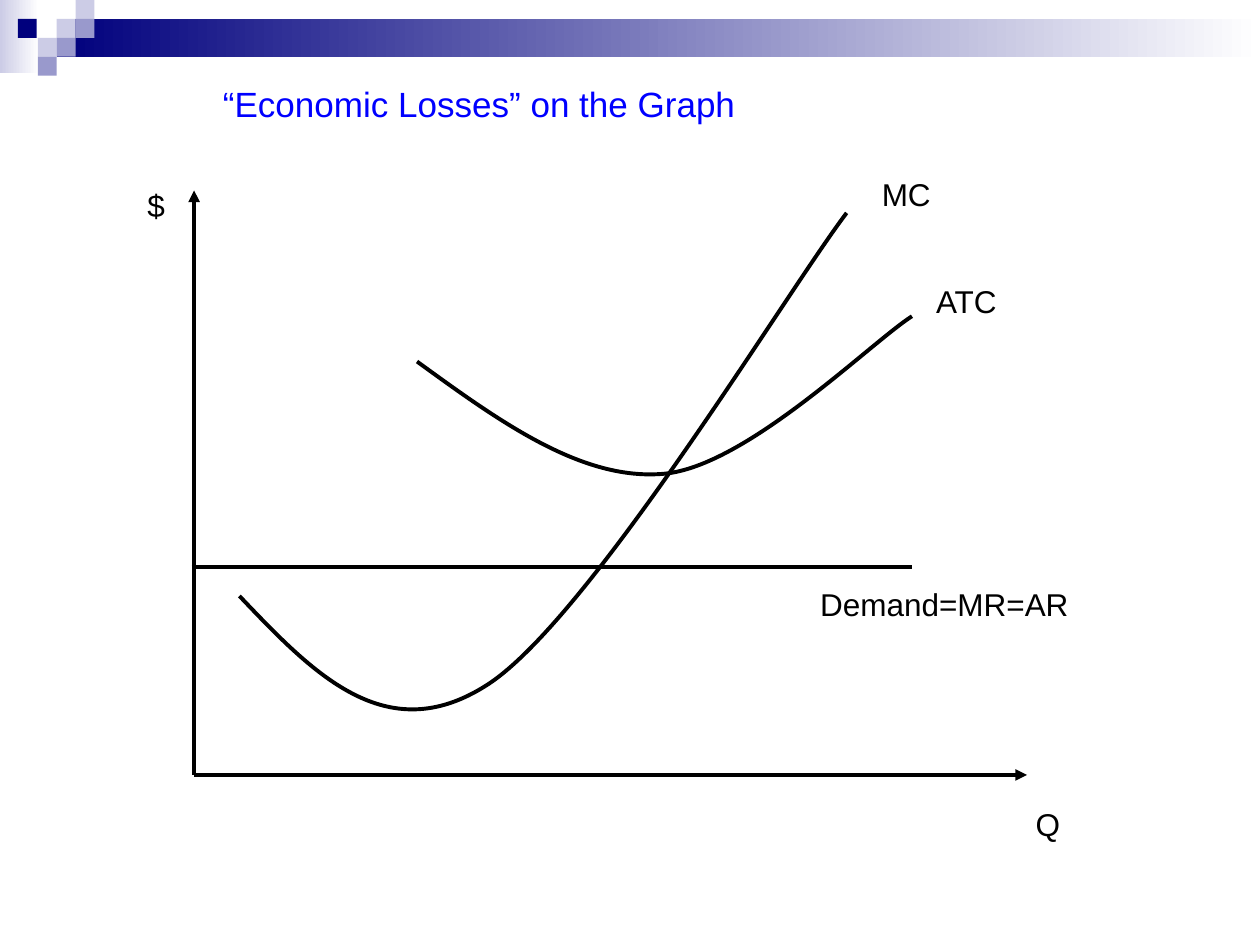
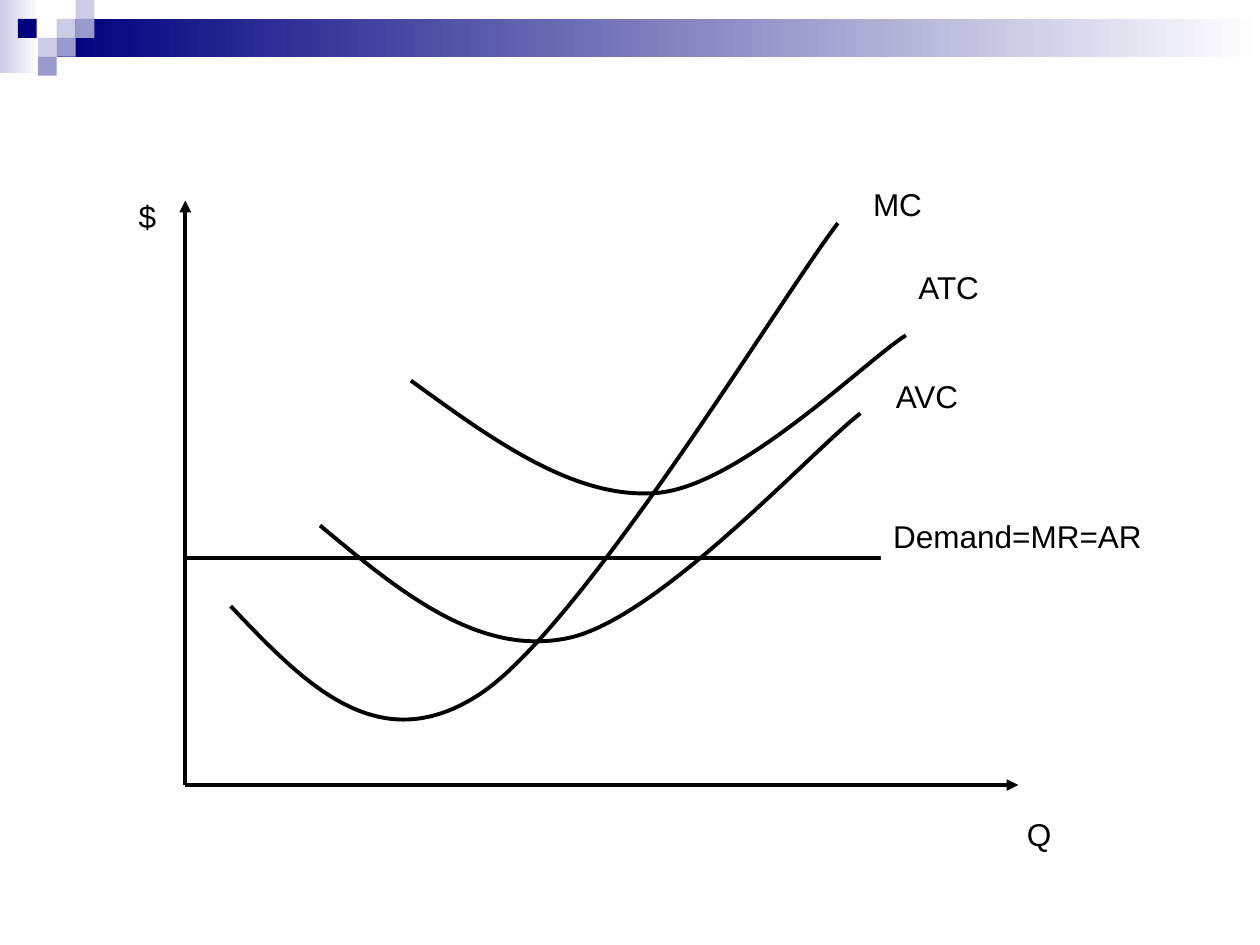
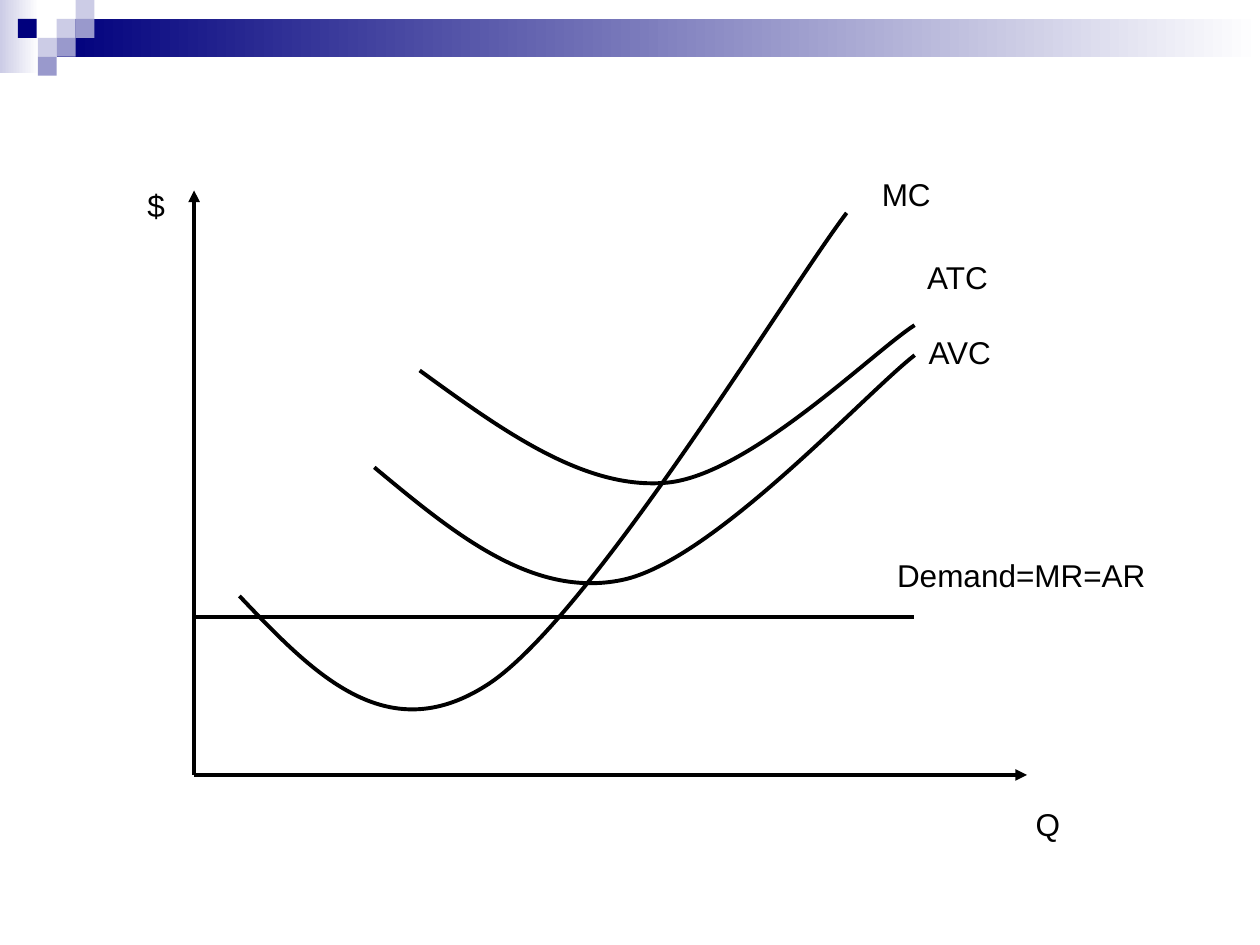
from dataclasses import dataclass
from typing import Any

from lxml.etree import SubElement
from pptx import Presentation
from pptx.dml.color import RGBColor
from pptx.enum.shapes import MSO_CONNECTOR, MSO_SHAPE
from pptx.enum.text import MSO_ANCHOR, MSO_AUTO_SIZE, PP_ALIGN
from pptx.oxml.ns import qn
from pptx.slide import Slide
from pptx.util import Pt

# Shared colours and formats
NAVY = RGBColor(0x00, 0x00, 0x7D)
LAVENDER = RGBColor(0xCC, 0xCC, 0xE6)
PERIWINKLE = RGBColor(0x99, 0x99, 0xCC)
WHITE = RGBColor(0xFF, 0xFF, 0xFF)
BLACK = RGBColor(0x00, 0x00, 0x00)
TITLE_BLUE = RGBColor(0x00, 0x00, 0xFF)

LABEL_FONT = {"name": "Arial", "size": Pt(18), "bold": False}
TITLE_FONT = {**LABEL_FONT, "size": Pt(20)}
FRAME_FORMAT = {
    "vertical_anchor": MSO_ANCHOR.MIDDLE,
    "auto_size": MSO_AUTO_SIZE.NONE,
    "word_wrap": True,
    "margin_left": Pt(7.2),
    "margin_right": Pt(7.2),
    "margin_top": Pt(3.6),
    "margin_bottom": Pt(3.6),
}
STROKE = Pt(2.25)
LABEL_HEIGHT = 30.2
TILE = 10.8
AXIS_HEIGHT, AXIS_WIDTH = 334, 476
DEMAND_LENGTH = 411.6

Point = tuple[float, float]


@dataclass(frozen=True)
class Band:
    left: float
    top: float
    width: float
    height: float
    color: RGBColor


@dataclass(frozen=True)
class Tile:
    left: float
    row: int
    color: RGBColor


@dataclass(frozen=True)
class Label:
    text: str
    at: Point
    width: float


@dataclass(frozen=True)
class Curve:
    """Bezier control points, measured from the start of the curve."""
    start: Point
    controls: tuple[Point, ...]


@dataclass(frozen=True)
class Graph:
    """Everything on a graph is measured from its origin."""
    origin: Point
    demand_start: Point
    curves: tuple[Curve, ...]
    labels: tuple[Label, ...]
    title: str = ""


# Header decoration
BANDS = (
    Band(0, 0, 22.3, 41.8, LAVENDER),
    Band(3 * TILE, TILE, 720 - 3 * TILE, 2 * TILE, NAVY),
)
TILES = (
    Tile(3 * TILE, 1, LAVENDER),
    Tile(4 * TILE, 0, LAVENDER),
    Tile(4 * TILE, 1, PERIWINKLE),
    Tile(2 * TILE, 2, LAVENDER),
    Tile(10.2, 1, NAVY),
    Tile(3 * TILE, 2, PERIWINKLE),
    Tile(2 * TILE, 3, PERIWINKLE),
)

# Cost curves
MC_CONTROLS = ((41.8, 43.9), (83.5, 87.8), (141.1, 51.1),
               (199.4, 14.4), (312.5, -173.5), (347, -218.9))
ATC_CONTROLS = ((47.1, 34.2), (94.2, 68.4), (141.2, 64.1),
                (188.3, 59.8), (259.2, -10.8), (282.8, -25.9))
AVC_CONTROLS = ((45, 37.4), (90, 74.9), (141.4, 64.4),
                (193, 54), (280.8, -42.5), (308.8, -64.1))
MC = Curve((25.9, -102.2), MC_CONTROLS)
ATC = Curve((128.9, -231.1), ATC_CONTROLS)

# Labels that keep their place on every graph
FIXED_LABELS = (
    Label("MC", (385.9, -347), 48.2),
    Label("$", (-33.8, -340.6), 25.2),
    Label("Q", (473.8, 13), 48.2),
)


def atc_label(at: Point) -> Label:
    return Label("ATC", at, 64.1)


def avc_label(at: Point) -> Label:
    return Label("AVC", at, 65.5)


def demand_label(at: Point) -> Label:
    return Label("Demand=MR=AR", at, 167)


GRAPHS = (
    Graph(
        origin=(110.9, 442.8),
        demand_start=(-1.4, -118.8),
        curves=(MC, Curve((127.4, -236.2), ATC_CONTROLS)),
        labels=(atc_label((416.9, -285.8)), demand_label((350.6, -113))),
        title="“Economic Losses” on the Graph",
    ),
    Graph(
        origin=(105.9, 448.6),
        demand_start=(0, -129.6),
        curves=(MC, ATC, Curve((77, -148.3), AVC_CONTROLS)),
        labels=(atc_label((411.8, -299.5)), avc_label((398.9, -237.6)),
                demand_label((397.4, -157.7))),
    ),
    Graph(
        origin=(110.9, 442.8),
        demand_start=(0, -90),
        curves=(MC, ATC, Curve((103, -175.7), AVC_CONTROLS)),
        labels=(atc_label((411.8, -299.5)), avc_label((412.6, -257)),
                demand_label((394.6, -129.6))),
    ),
)


def shift(base: Point, offset: Point) -> Point:
    return base[0] + offset[0], base[1] + offset[1]


def apply_format(target: Any, values: dict[str, Any]) -> None:
    for attribute, value in values.items():
        setattr(target, attribute, value)


def write_text(holder: Any, text: str, font: dict[str, Any], color: RGBColor) -> None:
    frame = holder.text_frame
    frame.text = text
    apply_format(frame, FRAME_FORMAT)
    paragraph = frame.paragraphs[0]
    paragraph.alignment = PP_ALIGN.LEFT
    run_font = paragraph.runs[0].font
    apply_format(run_font, font)
    run_font.color.rgb = color


def add_box(slide: Slide, left: float, top: float, width: float, height: float) -> Any:
    box = slide.shapes.add_shape(
        MSO_SHAPE.RECTANGLE, Pt(left), Pt(top), Pt(width), Pt(height))
    box.shadow.inherit = False
    box.line.fill.background()
    return box


def fill_solid(box: Any, color: RGBColor) -> None:
    box.fill.solid()
    box.fill.fore_color.rgb = color


def draw_header(slide: Slide) -> None:
    for band in BANDS:
        fill = add_box(slide, band.left, band.top, band.width, band.height).fill
        fill.gradient()
        fill.gradient_angle = 0
        for stop, position, color in zip(fill.gradient_stops, (0, 1), (band.color, WHITE)):
            apply_format(stop, {"position": position})
            stop.color.rgb = color
    for tile in TILES:
        fill_solid(add_box(slide, tile.left, tile.row * TILE, TILE, TILE), tile.color)


def draw_title(slide: Slide, text: str) -> None:
    title = slide.shapes.title
    apply_format(title, {"left": Pt(120.2), "top": Pt(43.2),
                         "width": Pt(341.3), "height": Pt(31.7)})
    write_text(title, text, TITLE_FONT, TITLE_BLUE)


def draw_line(slide: Slide, start: Point, end: Point, arrow: bool = False) -> None:
    connector = slide.shapes.add_connector(
        MSO_CONNECTOR.STRAIGHT, *(Pt(value) for value in (*start, *end)))
    connector.line.color.rgb = BLACK
    connector.line.width = STROKE
    properties = connector.element.spPr
    if arrow:
        SubElement(properties.find(qn("a:ln")), qn("a:tailEnd"), type="triangle")
    SubElement(properties, qn("a:effectLst"))


def draw_curve(slide: Slide, origin: Point, curve: Curve) -> None:
    start = shift(origin, curve.start)
    builder = slide.shapes.build_freeform(Pt(start[0]), Pt(start[1]))
    points = [shift(start, control) for control in curve.controls]
    builder.add_line_segments([(Pt(x), Pt(y)) for x, y in points], close=False)
    outline = builder.convert_to_shape()
    outline.shadow.inherit = False
    outline.fill.background()
    outline.line.color.rgb = BLACK
    outline.line.width = STROKE

    # Turn each three segments into one Bezier segment
    track = outline.element.find(".//" + qn("a:path"))
    segments = track.findall(qn("a:lnTo"))
    for first in range(0, len(segments), 3):
        bezier = SubElement(track, qn("a:cubicBezTo"))
        for segment in segments[first:first + 3]:
            bezier.append(segment[0])
            track.remove(segment)


def draw_label(slide: Slide, origin: Point, label: Label) -> None:
    box = add_box(slide, *shift(origin, label.at), label.width, LABEL_HEIGHT)
    fill_solid(box, WHITE)
    write_text(box, label.text, LABEL_FONT, BLACK)


def draw_graph(slide: Slide, graph: Graph) -> None:
    # Axes and demand line
    origin = graph.origin
    for tip in ((0, -AXIS_HEIGHT), (AXIS_WIDTH, 0)):
        draw_line(slide, origin, shift(origin, tip), arrow=True)
    demand = shift(origin, graph.demand_start)
    draw_line(slide, demand, shift(demand, (DEMAND_LENGTH, 0)))

    # Curves, then their labels in front
    for curve in graph.curves:
        draw_curve(slide, origin, curve)
    for label in FIXED_LABELS + graph.labels:
        draw_label(slide, origin, label)


def main() -> None:
    deck = Presentation()
    apply_format(deck, {"slide_width": Pt(720), "slide_height": Pt(540)})
    title_only = deck.slide_layouts.get_by_name("Title Only")
    blank = deck.slide_layouts.get_by_name("Blank")
    for graph in GRAPHS:
        slide = deck.slides.add_slide(title_only if graph.title else blank)
        draw_header(slide)
        if graph.title:
            draw_title(slide, graph.title)
        draw_graph(slide, graph)
    deck.save("out.pptx")


if __name__ == "__main__":
    main()
